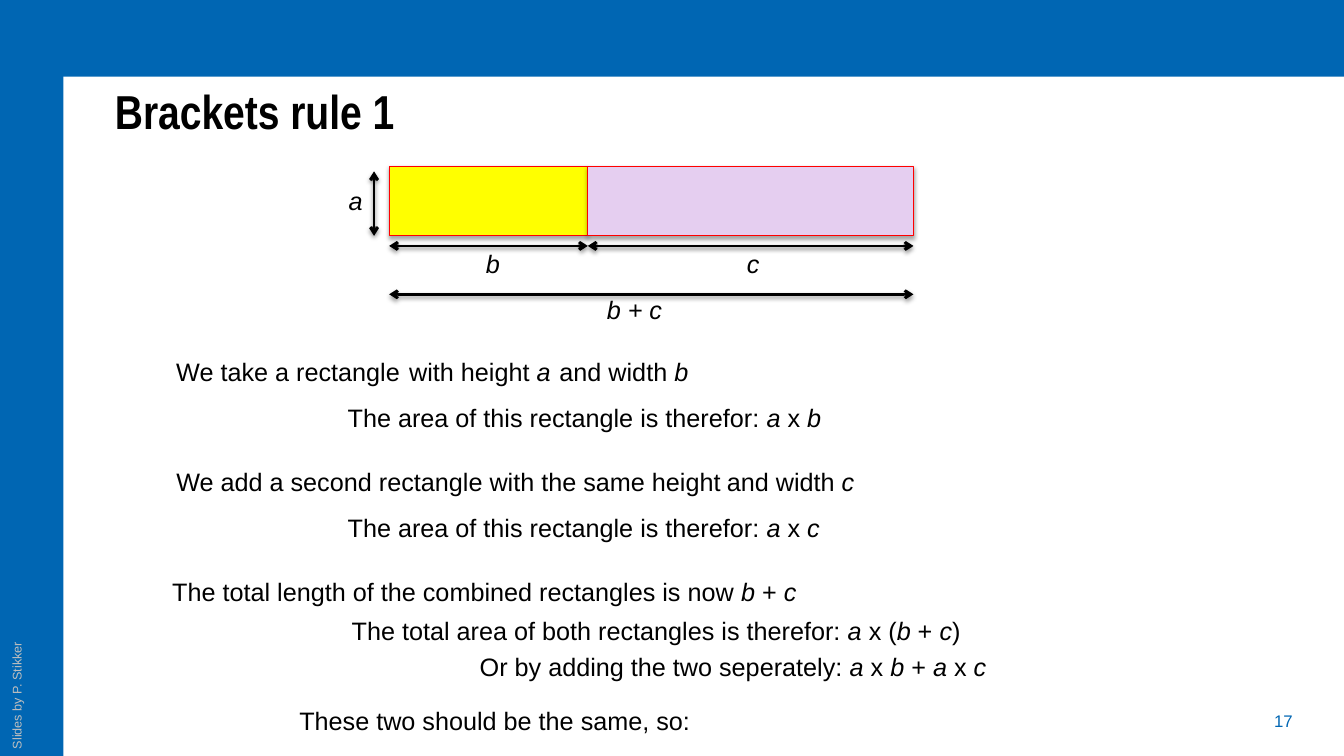
"""Build the slide that explains the first brackets rule with two joined rectangles."""
from dataclasses import dataclass

from lxml.etree import SubElement
from pptx import Presentation
from pptx.dml.color import RGBColor
from pptx.enum.shapes import MSO_CONNECTOR, MSO_SHAPE
from pptx.enum.text import MSO_ANCHOR, MSO_AUTO_SIZE, PP_ALIGN
from pptx.oxml.ns import qn
from pptx.util import Inches, Pt


@dataclass(frozen=True)
class Theme:
    blue: str = "0066B3"
    white: str = "FFFFFF"
    black: str = "000000"
    grey: str = "BFBFBF"
    red: str = "FF0000"
    yellow: str = "FFFF00"
    lilac: str = "E5CEF0"
    body_font: str = "Arial"
    title_font: str = "Arial Narrow"
    title_size: int = 34
    body_size: int = 18
    number_size: int = 12
    credit_size: int = 9


THEME = Theme()
WIDTH, HEIGHT = 13.33, 7.5
PANEL_LEFT, PANEL_TOP = 0.63, 0.76
LINE_HEIGHT = 0.4

TITLE = "Brackets rule 1"
CREDIT = "Slides by P. Stikker"
PAGE = "17"

BAR_TOP, BAR_HEIGHT = 1.65, 0.69
START, SPLIT, END = 3.86, 5.83, 9.06
BAR_BOTTOM = BAR_TOP + BAR_HEIGHT
PART_ROW, TOTAL_ROW = BAR_BOTTOM + 0.1, BAR_BOTTOM + 0.58

RECTANGLES = [(START, SPLIT, THEME.yellow), (SPLIT, END, THEME.lilac)]
DIMENSIONS = [
    (3.71, 1.7, 3.71, BAR_BOTTOM),
    (START, PART_ROW, SPLIT, PART_ROW),
    (SPLIT, PART_ROW, END, PART_ROW),
    (START, TOTAL_ROW, END, TOTAL_ROW),
]
LABELS = [
    (3.36, 1.79, 0.34, "*a*"),
    (4.72, 2.41, 0.34, "*b*"),
    (7.31, 2.41, 0.34, "*c*"),
    (5.92, 2.87, 0.78, "*b + c*"),
]

STEP, RESULT = 1.65, 3.35
FIRST_ROW, SECOND_ROW, THIRD_ROW = (3.49 + 1.09 * step for step in range(3))
RESULT_GAP = 0.45
STATEMENTS = [
    (STEP, FIRST_ROW, 2.44, "We take a rectangle"),
    (3.96, FIRST_ROW, 1.62, "with height *a*"),
    (5.45, FIRST_ROW, 1.49, "and width *b*"),
    (RESULT, FIRST_ROW + RESULT_GAP, 4.94, "The area of this rectangle is therefor: *a *x *b*"),
    (STEP, SECOND_ROW, 5.65, "We add a second rectangle with the same height"),
    (7.11, SECOND_ROW, 1.49, "and width *c*"),
    (RESULT, SECOND_ROW + RESULT_GAP, 4.94, "The area of this rectangle is therefor: *a *x *c*"),
    (1.61, THIRD_ROW, 6.45, "The total length of the combined rectangles is now *b *+ *c*"),
    (3.39, 6.06, 6.28, "The total area of both rectangles is therefor: *a *x (*b* + *c*)"),
    (4.66, 6.41, 5.27, "Or by adding the two seperately: *a *x *b *+ *a *x *c*"),
    (2.87, 6.95, 4.11, "These two should be the same, so:"),
]


def rgb(colour):
    return RGBColor.from_string(colour)


def write(frame, text, *, font=THEME.body_font, size=THEME.body_size, colour=THEME.black,
          bold=False, align=PP_ALIGN.LEFT, anchor=MSO_ANCHOR.TOP, wrap=False,
          fit=MSO_AUTO_SIZE.SHAPE_TO_FIT_TEXT):
    frame.word_wrap = wrap
    frame.auto_size = fit
    frame.vertical_anchor = anchor
    paragraph = frame.paragraphs[0]
    paragraph.alignment = align
    for index, part in enumerate(text.split("*")):
        if part:
            run = paragraph.add_run()
            run.text = part
            run.font.name, run.font.size = font, Pt(size)
            run.font.bold, run.font.italic = bold, index % 2 == 1
            run.font.color.rgb = rgb(colour)


def add_text(slide, left, top, width, text, height=LINE_HEIGHT, **style):
    box = slide.shapes.add_textbox(*map(Inches, (left, top, width, height)))
    write(box.text_frame, text, **style)
    return box


def add_rectangle(slide, left, top, width, height, fill):
    rectangle = slide.shapes.add_shape(
        MSO_SHAPE.RECTANGLE, *map(Inches, (left, top, width, height)))
    rectangle.shadow.inherit = False
    rectangle.fill.solid()
    rectangle.fill.fore_color.rgb = rgb(fill)
    rectangle.line.fill.background()
    return rectangle


def cast_shadow(shape, distance, opacity):
    properties = shape._element.spPr
    effects = properties.find(qn("a:effectLst"))
    if effects is None:
        effects = SubElement(properties, qn("a:effectLst"))
    shadow = SubElement(effects, qn("a:outerShdw"), blurRad=str(Pt(3.1)),
                        dist=str(Pt(distance)), dir="5400000", rotWithShape="0")
    colour = SubElement(shadow, qn("a:srgbClr"), val=THEME.black)
    SubElement(colour, qn("a:alpha"), val=str(opacity * 1000))


def add_dimension(slide, ends):
    dimension = slide.shapes.add_connector(MSO_CONNECTOR.STRAIGHT, *map(Inches, ends))
    dimension.line.color.rgb = rgb(THEME.black)
    dimension.line.width = Pt(2)
    outline = dimension.line._get_or_add_ln()
    for tip in ("a:headEnd", "a:tailEnd"):
        SubElement(outline, qn(tip), type="arrow")
    cast_shadow(dimension, 1.6, 38)


def main():
    deck = Presentation()
    deck.slide_width, deck.slide_height = Inches(WIDTH), Inches(HEIGHT)
    slide = deck.slides.add_slide(deck.slide_layouts[5])
    slide.background.fill.solid()
    slide.background.fill.fore_color.rgb = rgb(THEME.blue)

    add_rectangle(slide, PANEL_LEFT, PANEL_TOP, WIDTH - PANEL_LEFT, HEIGHT - PANEL_TOP,
                  THEME.white)
    credit = add_text(slide, -0.48, 6.76, 1.29, CREDIT, height=0.25,
                      size=THEME.credit_size, colour=THEME.grey)
    credit.rotation = 270
    add_text(slide, 9.81, 6.95, 3.11, PAGE, size=THEME.number_size, colour=THEME.blue,
             align=PP_ALIGN.RIGHT, anchor=MSO_ANCHOR.MIDDLE, wrap=True,
             fit=MSO_AUTO_SIZE.NONE)

    title = slide.shapes.title
    title.left, title.top, title.width, title.height = map(Inches, (1.04, 0.75, 11.25, 0.69))
    write(title.text_frame, TITLE, font=THEME.title_font, size=THEME.title_size, bold=True,
          anchor=MSO_ANCHOR.MIDDLE, wrap=True, fit=MSO_AUTO_SIZE.NONE)
    slide.shapes._spTree.append(title._element)

    for left, right, fill in RECTANGLES:
        rectangle = add_rectangle(slide, left, BAR_TOP, right - left, BAR_HEIGHT, fill)
        rectangle.line.color.rgb = rgb(THEME.red)
        rectangle.line.width = Pt(0.75)
        cast_shadow(rectangle, 1.8, 35)
    for ends in DIMENSIONS:
        add_dimension(slide, ends)
    for left, top, width, text in LABELS + STATEMENTS:
        add_text(slide, left, top, width, text)

    deck.save("out.pptx")


if __name__ == "__main__":
    main()
